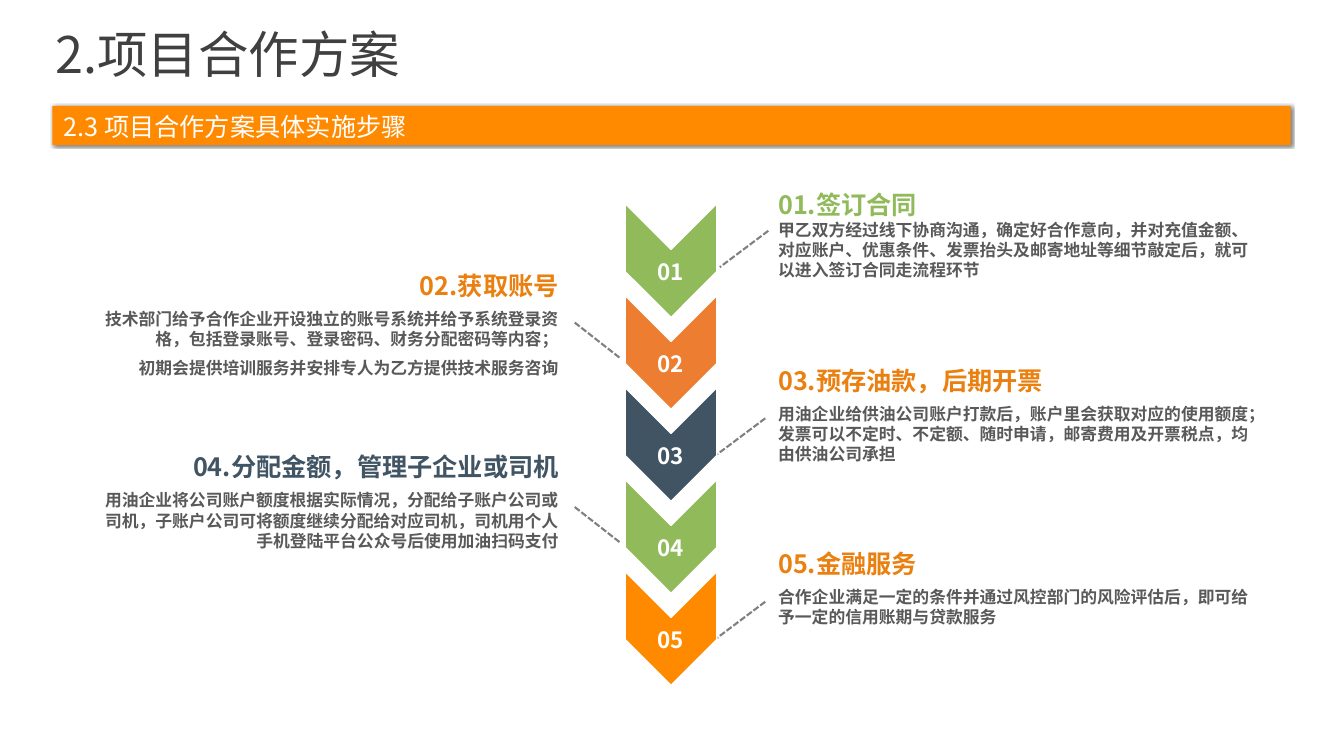
"""Build the slide of the five steps of the cooperation plan."""
from lxml import etree
from pptx import Presentation
from pptx.dml.color import RGBColor
from pptx.enum.dml import MSO_LINE
from pptx.enum.shapes import MSO_CONNECTOR, MSO_SHAPE
from pptx.enum.text import PP_ALIGN
from pptx.oxml import parse_xml
from pptx.oxml.ns import nsdecls, qn
from pptx.util import Inches, Pt

LEFT, MID, RIGHT = PP_ALIGN.LEFT, PP_ALIGN.CENTER, PP_ALIGN.RIGHT
RECT, CHEVRON = MSO_SHAPE.RECTANGLE, MSO_SHAPE.CHEVRON
STRAIGHT, DASH = MSO_CONNECTOR.STRAIGHT, MSO_LINE.SQUARE_DOT
WHITE = RGBColor(0xFF, 0xFF, 0xFF)
DARK = RGBColor(0x40, 0x40, 0x40)
TEXT = RGBColor(0x59, 0x59, 0x59)
GRAY = RGBColor(0x80, 0x80, 0x80)
ORANGE = RGBColor(0xFF, 0x8A, 0x00)
AMBER = RGBColor(0xEA, 0x80, 0x10)
RUST = RGBColor(0xED, 0x7D, 0x31)
NAVY = RGBColor(0x41, 0x54, 0x63)
GREEN = RGBColor(0x91, 0xBA, 0x5B)
FONT = "Noto Sans CJK SC"

TITLE = "2.项目合作方案"
SUB = "2.3 项目合作方案具体实施步骤"
STEPS = [
    dict(head="签订合同", ink=GREEN, fill=GREEN, box=(7.62, 1.83, 4.92, 1.02),
         gap=0, line=(7.62, 2.29, 7.14, 2.65), body=[
             "甲乙双方经过线下协商沟通，确定好合作意向，并对充值金额、对应账户、优惠条件、"
             "发票抬头及邮寄地址等细节敲定后，就可以进入签订合同走流程环节"]),
    dict(head="获取账号", ink=AMBER, fill=RUST, box=(0.9, 2.63, 4.74, 1.19),
         gap=6, line=(5.7, 3.2, 6.16, 3.56), body=[
             "技术部门给予合作企业开设独立的账号系统并给予系统登录资格，"
             "包括登录账号、登录密码、财务分配密码等内容；",
             "初期会提供培训服务并安排专人为乙方提供技术服务咨询"]),
    dict(head="预存油款，后期开票", ink=AMBER, fill=NAVY, box=(7.62, 3.57, 4.93, 1.09),
         gap=6, line=(7.59, 4.15, 7.11, 4.51), body=[
             "用油企业给供油公司账户打款后，账户里会获取对应的使用额度；发票可以不定时、"
             "不定额、随时申请，邮寄费用及开票税点，均由供油公司承担"]),
    dict(head="分配金额，管理子企业或司机", ink=NAVY, fill=GREEN, box=(0.9, 4.43, 4.74, 1.39),
         gap=6, line=(5.7, 5.03, 6.16, 5.39), body=[
             "用油企业将公司账户额度根据实际情况，分配给子账户公司或司机，子账户公司可将额度"
             "继续分配给对应司机，司机用个人手机登陆平台公众号后使用加油扫码支付"]),
    dict(head="金融服务", ink=AMBER, fill=ORANGE, box=(7.62, 5.39, 4.93, 0.9),
         gap=6, line=(7.59, 5.97, 7.11, 6.33), body=[
             "合作企业满足一定的条件并通过风控部门的风险评估后，即可给予一定的信用账期与贷款服务"]),
]
PITCH = 0.9125
SHADOW = (f'<a:effectLst {nsdecls("a")}><a:outerShdw blurRad="25400" dist="12700" '
          'dir="2700000" algn="tl" rotWithShape="0"><a:srgbClr val="000000">'
          '<a:alpha val="50000"/></a:srgbClr></a:outerShdw></a:effectLst>')


def write(box, lines, align=LEFT, gap=0, inset=True, space=None):
    """Add a text box of (text, size, colour, bold) lines."""
    frame = slide.shapes.add_textbox(*map(Inches, box)).text_frame
    frame.word_wrap = True
    if not inset:
        for side in ("left", "top", "right", "bottom"):
            setattr(frame, "margin_" + side, 0)
    for i, (text, size, ink, bold) in enumerate(lines):
        para = frame.add_paragraph() if i else frame.paragraphs[0]
        form = dict(alignment=align, space_after=Pt(gap), line_spacing=space)
        for key, val in form.items():
            setattr(para, key, val)
        run = para.add_run()
        run.text = text
        for key, val in dict(name=FONT, size=Pt(size), bold=bold).items():
            setattr(run.font, key, val)
        run.font.color.rgb = ink
        east = etree.SubElement(run.font._element, qn("a:ea"))
        east.set("typeface", FONT)


def block(kind, box, fill):
    """Add a filled shape without a line or shadow."""
    shape = slide.shapes.add_shape(kind, *map(Inches, box))
    shape.shadow.inherit = False
    shape.fill.solid()
    shape.fill.fore_color.rgb = fill
    shape.line.fill.background()
    return shape


def link(ends):
    """Add a dashed leader line."""
    wire = slide.shapes.add_connector(STRAIGHT, *map(Inches, ends))
    wire.line.color.rgb = GRAY
    wire.line.width = Pt(1.5)
    wire.line.dash_style = DASH
    etree.SubElement(wire._element.spPr, qn("a:effectLst"))


deck = Presentation()
deck.slide_width, deck.slide_height = Inches(13.33), Inches(7.5)
slide = deck.slides.add_slide(deck.slide_layouts[6])

bar = block(RECT, (0.52, 1.05, 12.28, 0.39), ORANGE)
props = bar._element.spPr
props.replace(props.find(qn("a:effectLst")), parse_xml(SHADOW))
write((0.55, 0.35, 12.26, 0.48), [(TITLE, 36, DARK, False)], inset=False, space=0.8)
write((0.63, 1.1, 11.69, 0.3), [(SUB, 18, WHITE, False)], inset=False)

for i, step in enumerate(STEPS):
    num = f"{i + 1:02d}"
    lines = [(f"{num}.{step['head']}", 18, step["ink"], True)]
    lines += [(text, 12, TEXT, True) for text in step["body"]]
    write(step["box"], lines, RIGHT if i % 2 else LEFT, step["gap"])
    link(step["line"])
    top = 2.13 + i * PITCH
    mark = block(CHEVRON, (6.09, top, 1.13, 0.91), step["fill"])
    mark.rotation = 90
    mark.line.color.rgb = WHITE
    mark.line.width = Pt(1)
    write((6.2, top + 0.38, 0.9, 0.39), [(num, 16, WHITE, True)], MID)

deck.save("out.pptx")
